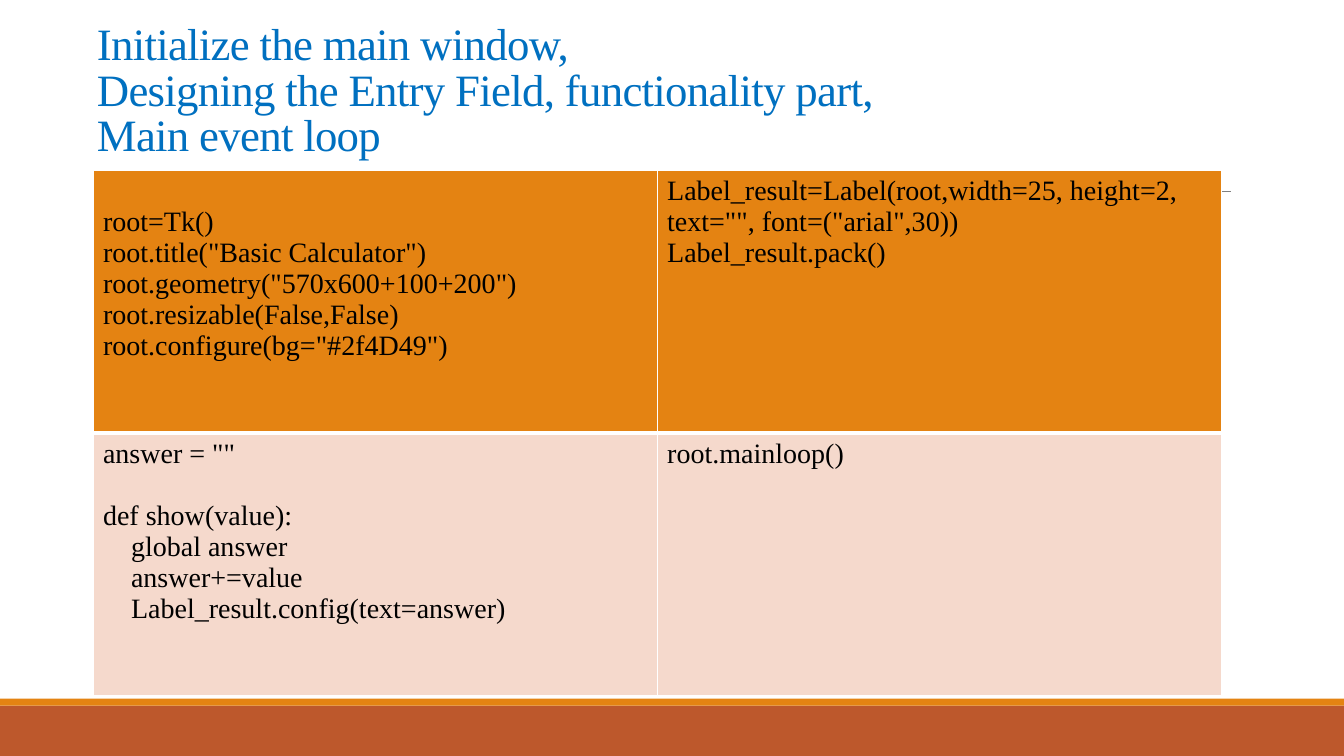
from lxml import etree
from pptx import Presentation
from pptx.dml.color import RGBColor
from pptx.enum.shapes import MSO_CONNECTOR, MSO_SHAPE
from pptx.enum.text import MSO_ANCHOR, MSO_AUTO_SIZE, PP_ALIGN
from pptx.oxml.ns import qn
from pptx.util import Pt

RECTANGLE = MSO_SHAPE.RECTANGLE
STRAIGHT = MSO_CONNECTOR.STRAIGHT
BOTTOM = MSO_ANCHOR.BOTTOM
LEFT = PP_ALIGN.LEFT
FIXED_SIZE = MSO_AUTO_SIZE.NONE

FONT = "Times New Roman"
COLORS = {
    "title": "0070C0", "code": "000000", "border": "FFFFFF", "rule": "808080",
    "orange": "E48312", "rust": "BD582C", "blush": "F5D9CC",
}
PAGE_WIDTH, PAGE_HEIGHT = 960, 540
CODE_LINE = 22.2
CODE_INDENT = 20

TITLE_LINES = [
    "Initialize the main window,",
    "Designing the Entry Field, functionality part,",
    "Main event loop",
]
CODE_ROWS = [
    ("orange", [
        {"lead": CODE_LINE, "lines": [
            (0, 0, "root=Tk()"),
            (0, 0, 'root.title("Basic Calculator")'),
            (0, 0, 'root.geometry("570x600+100+200")'),
            (0, 0, "root.resizable(False,False)"),
            (0, 0, 'root.configure(bg="#2f4D49")'),
        ]},
        {"lead": 0, "lines": [
            (0, 0, 'Label_result=Label(root,width=25, height=2, text="", font=("arial",30))'),
            (0, 0, "Label_result.pack()"),
        ]},
    ]),
    ("blush", [
        {"lead": 0, "lines": [
            (0, 0, 'answer = ""'),
            (0, CODE_LINE, "def show(value):"),
            (1, 0, "global answer"),
            (1, 0, "answer+=value"),
            (1, 0, "Label_result.config(text=answer)"),
        ]},
        {"lead": 0, "lines": [(0, 0, "root.mainloop()")]},
    ]),
]


def color(name):
    return RGBColor.from_string(COLORS[name])


def add_span(para, text, size, color_name):
    span = para.add_run()
    span.text = text
    span.font.name = FONT
    span.font.size = Pt(size)
    span.font.bold = False
    span.font.color.rgb = color(color_name)
    return span


def add_band(page, box, color_name):
    band = page.shapes.add_shape(RECTANGLE, *map(Pt, box))
    band.shadow.inherit = False
    band.fill.solid()
    band.fill.fore_color.rgb = color(color_name)
    band.line.fill.background()


def add_backdrop(page, box):
    left, top, width, height = box
    footer_height, stripe_height = 36, 5
    footer_top = top + height - footer_height
    add_band(page, (left, footer_top, width, footer_height), "rust")
    add_band(page, (left, footer_top - stripe_height, width, stripe_height), "orange")
    rule_top = top + 136.8
    rule = page.shapes.add_connector(
        STRAIGHT, Pt(left + 94.3), Pt(rule_top), Pt(left + 879.1), Pt(rule_top))
    rule.line.color.rgb = color("rule")
    rule.line.width = Pt(0.5)
    etree.SubElement(rule._element.spPr, qn("a:effectLst"))


def add_title(page, box):
    title = page.shapes.title
    title.left, title.top, title.width, title.height = map(Pt, box)
    frame = title.text_frame
    frame.auto_size = FIXED_SIZE
    frame.word_wrap = True
    frame.vertical_anchor = BOTTOM
    frame.margin_bottom = Pt(44)
    para = frame.paragraphs[0]
    para.alignment = LEFT
    para.line_spacing = 0.85
    for index, text in enumerate(TITLE_LINES):
        if index:
            para.add_line_break()
        span = add_span(para, text, 32, "title")
        span.font._element.set("spc", "-50")


def set_borders(cell, widths):
    properties = cell._tc.get_or_add_tcPr()
    for index, (side, width) in enumerate(widths.items()):
        border = etree.Element(qn(f"a:ln{side}"), w=str(Pt(width)))
        fill = etree.SubElement(border, qn("a:solidFill"))
        etree.SubElement(fill, qn("a:srgbClr"), val=COLORS["border"])
        properties.insert(index, border)


def fill_cell(cell, content, color_name):
    cell.fill.solid()
    cell.fill.fore_color.rgb = color(color_name)
    cell.margin_top = Pt(3.6 + content["lead"])
    frame = cell.text_frame
    for index, (level, gap, text) in enumerate(content["lines"]):
        para = frame.add_paragraph() if index else frame.paragraphs[0]
        if gap:
            para.space_before = Pt(gap)
        if level:
            para._p.get_or_add_pPr().set("marL", str(Pt(level * CODE_INDENT)))
        add_span(para, text, 20, "code")


def add_code_table(page, box):
    left, top, width, height = box
    row_count, column_count = len(CODE_ROWS), len(CODE_ROWS[0][1])
    table = page.shapes.add_table(row_count, column_count, *map(Pt, box)).table
    table.first_row = False
    table.horz_banding = False
    for column in table.columns:
        column.width = Pt(width / column_count)
    for row_index, (color_name, contents) in enumerate(CODE_ROWS):
        table.rows[row_index].height = Pt(height / row_count)
        borders = {
            "L": 1, "R": 1,
            "T": 3 if row_index else 1,
            "B": 1 if row_index == row_count - 1 else 3,
        }
        for column_index, content in enumerate(contents):
            cell = table.cell(row_index, column_index)
            fill_cell(cell, content, color_name)
            set_borders(cell, borders)


def main():
    deck = Presentation()
    deck.slide_width, deck.slide_height = Pt(PAGE_WIDTH), Pt(PAGE_HEIGHT)
    page = deck.slides.add_slide(deck.slide_layouts[5])
    add_backdrop(page, (0, 0, PAGE_WIDTH, PAGE_HEIGHT))
    add_title(page, (62, -27.4, 828, 186.5))
    add_code_table(page, (66.4, 121.8, 806, 375))
    deck.save("out.pptx")


if __name__ == "__main__":
    main()
